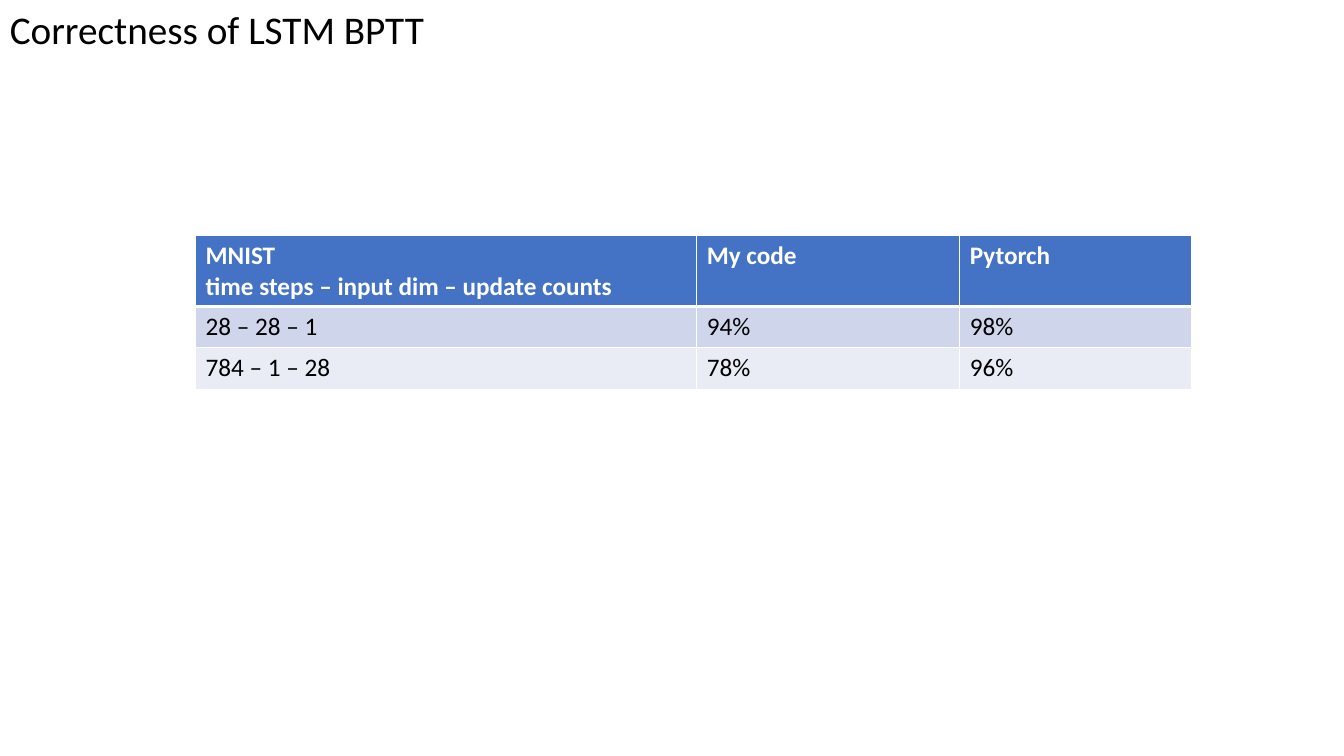
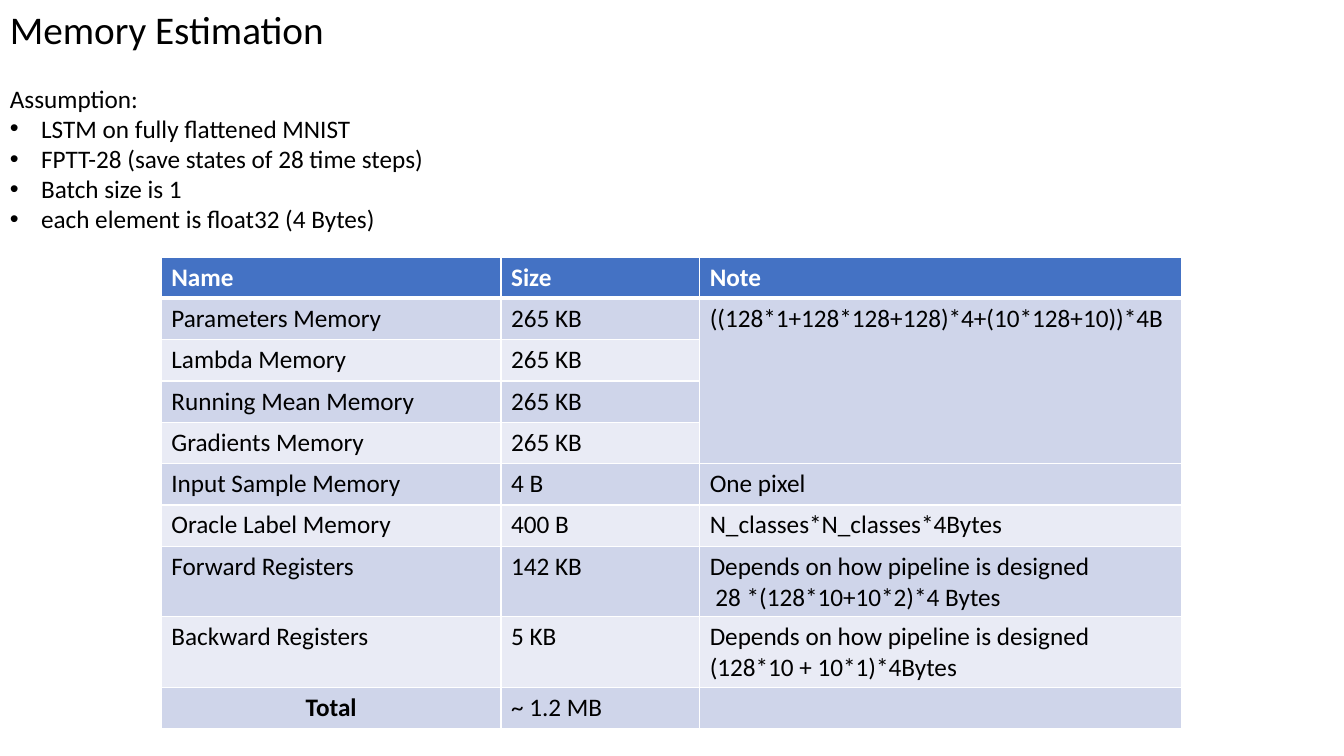
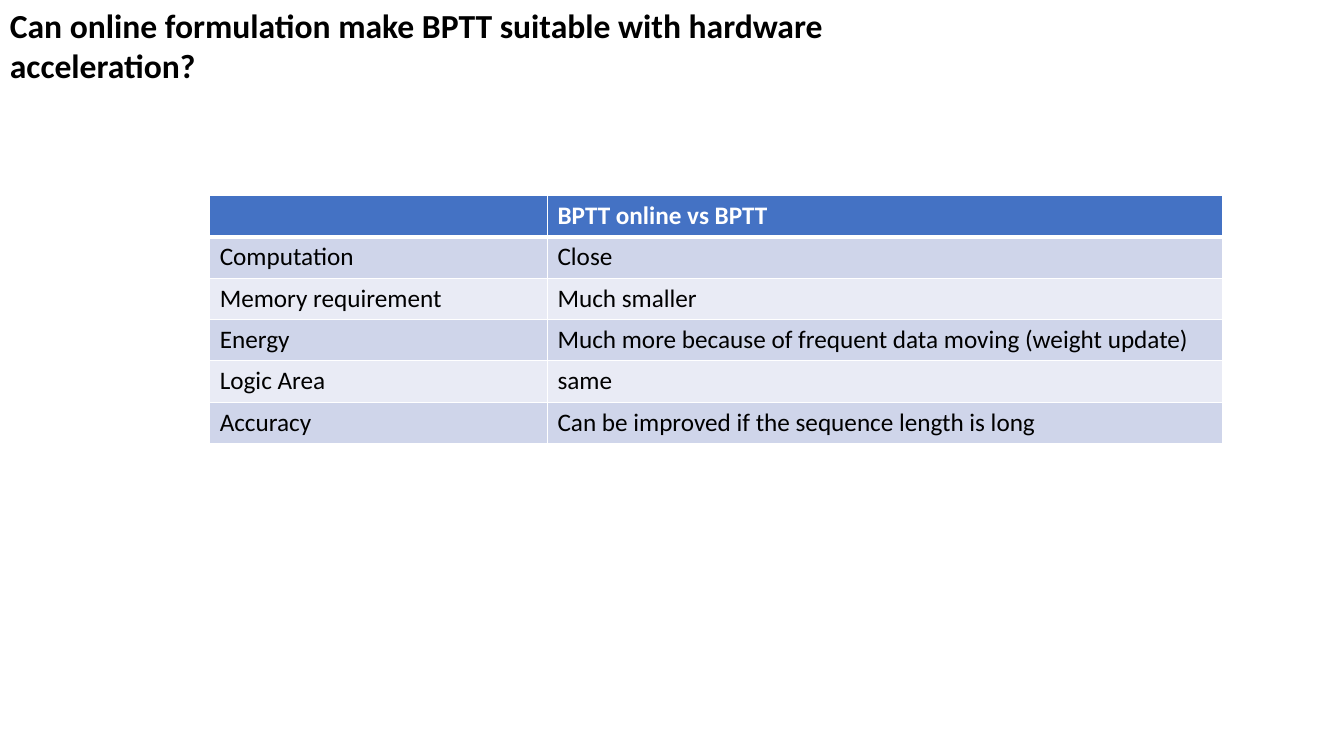
from lxml import etree
from pptx import Presentation
from pptx.dml.color import RGBColor
from pptx.enum.text import MSO_AUTO_SIZE, PP_ALIGN
from pptx.oxml.ns import qn
from pptx.util import Inches, Pt

CENTER = PP_ALIGN.CENTER
GROW = MSO_AUTO_SIZE.SHAPE_TO_FIT_TEXT

FONT = "Calibri"
BLACK, WHITE = "000000", "FFFFFF"
HEADER_FILL = "4472C4"
BAND_FILLS = ("CFD5EA", "E9EBF5")
BODY_SIZE = 18
TITLE_SIZE = 28
ROW_HEIGHT = 0.41
EXTRA_LINE = 0.29
THIN, THICK = 1, 3


def rgb(color):
    return RGBColor.from_string(color)


def format_runs(p, size=BODY_SIZE, color=BLACK, bold=False):
    for r in p.runs:
        r.font.name = FONT
        r.font.size = Pt(size)
        r.font.bold = bold
        r.font.color.rgb = rgb(color)


def set_bullet(p, indent=0.31):
    pPr = p._p.get_or_add_pPr()
    pPr.set("marL", str(Inches(indent)))
    pPr.set("indent", str(-Inches(indent)))
    etree.SubElement(pPr, qn("a:buFont"), typeface="Arial")
    etree.SubElement(pPr, qn("a:buChar"), char="•")


def set_borders(cell, top, bottom):
    tcPr = cell._tc.get_or_add_tcPr()
    for side, width in (("L", THIN), ("R", THIN), ("T", top), ("B", bottom)):
        ln = etree.SubElement(tcPr, qn(f"a:ln{side}"), w=str(Pt(width)))
        fill = etree.SubElement(ln, qn("a:solidFill"))
        etree.SubElement(fill, qn("a:srgbClr"), val=WHITE)


def add_title(slide, text, width, height, size=TITLE_SIZE, bold=False):
    """Put the title in the top left corner and return its text frame."""
    box = slide.shapes.add_textbox(0, 0, Inches(width), Inches(height))
    tf = box.text_frame
    tf.word_wrap = True
    tf.auto_size = GROW
    tf.text = text
    format_runs(tf.paragraphs[0], size, bold=bold)
    return tf


def add_assumptions(tf, heading, items):
    """Add a heading and its bullets below the title."""
    p = tf.add_paragraph()
    p.text = heading
    p.space_before = Pt(22)
    format_runs(p)
    for item in items:
        p = tf.add_paragraph()
        p.text = item
        set_bullet(p)
        format_runs(p)


def style_cell(cell, text, row):
    header = row == 0
    cell.text = text
    for p in cell.text_frame.paragraphs:
        format_runs(p, color=WHITE if header else BLACK, bold=header)
    set_borders(cell, top=THICK if row == 1 else THIN,
                bottom=THICK if header else THIN)
    cell.fill.solid()
    cell.fill.fore_color.rgb = rgb(
        HEADER_FILL if header else BAND_FILLS[(row - 1) % 2])


def add_banded_table(slide, left, top, widths, rows):
    heights = [ROW_HEIGHT + EXTRA_LINE * max(text.count("\n") for text in row)
               for row in rows]
    frame = slide.shapes.add_table(
        len(rows), len(widths), Inches(left), Inches(top),
        Inches(sum(widths)), Inches(sum(heights)))
    table = frame.table
    for column, width in zip(table.columns, widths):
        column.width = Inches(width)
    for i, (row, height) in enumerate(zip(rows, heights)):
        table.rows[i].height = Inches(height)
        for j, text in enumerate(row):
            style_cell(table.cell(i, j), text, i)
    return table


def build_correctness(slide):
    add_title(slide, "Correctness of LSTM BPTT", 4.83, 0.57)
    add_banded_table(slide, 1.94, 2.34, (4.97, 2.61, 2.3), (
        ("MNIST\ntime steps – input dim – update counts", "My code", "Pytorch"),
        ("28 – 28 – 1", "94%", "98%"),
        ("784 – 1 – 28", "78%", "96%"),
    ))


def build_memory(slide):
    table = add_banded_table(slide, 1.6, 2.55, (3.37, 1.97, 4.78), (
        ("Name", "Size", "Note"),
        ("Parameters Memory", "265 KB",
         "((128*1+128*128+128)*4+(10*128+10))*4B"),
        ("Lambda Memory", "265 KB", ""),
        ("Running Mean Memory", "265 KB", ""),
        ("Gradients Memory", "265 KB", ""),
        ("Input Sample Memory", "4 B", "One pixel"),
        ("Oracle Label Memory", "400 B", "N_classes*N_classes*4Bytes"),
        ("Forward Registers", "142 KB",
         "Depends on how pipeline is designed\n 28 *(128*10+10*2)*4 Bytes"),
        ("Backward Registers", "5 KB",
         "Depends on how pipeline is designed\n(128*10 + 10*1)*4Bytes"),
        ("Total", "~ 1.2 MB", ""),
    ))
    table.cell(1, 2).merge(table.cell(4, 2))
    total = table.cell(9, 0).text_frame.paragraphs[0]
    total.alignment = CENTER
    format_runs(total, bold=True)

    tf = add_title(slide, "Memory Estimation", 10.23, 2.39)
    add_assumptions(tf, "Assumption:", (
        "LSTM on fully flattened MNIST",
        "FPTT-28 (save states of 28 time steps)",
        "Batch size is 1",
        "each element is float32 (4 Bytes)",
    ))


def build_online_comparison(slide):
    add_title(slide, "Can online formulation make BPTT suitable with hardware "
              "acceleration?", 9.34, 0.91, size=24, bold=True)
    add_banded_table(slide, 2.08, 1.94, (3.35, 6.7), (
        ("", "BPTT online vs BPTT"),
        ("Computation", "Close"),
        ("Memory requirement", "Much smaller"),
        ("Energy", "Much more because of frequent data moving (weight update)"),
        ("Logic Area", "same"),
        ("Accuracy", "Can be improved if the sequence length is long"),
    ))


def main():
    prs = Presentation()
    prs.slide_width = Inches(13.33)
    prs.slide_height = Inches(7.5)
    blank = prs.slide_layouts[6]
    for build in (build_correctness, build_memory, build_online_comparison):
        build(prs.slides.add_slide(blank))
    prs.save("out.pptx")


if __name__ == "__main__":
    main()
